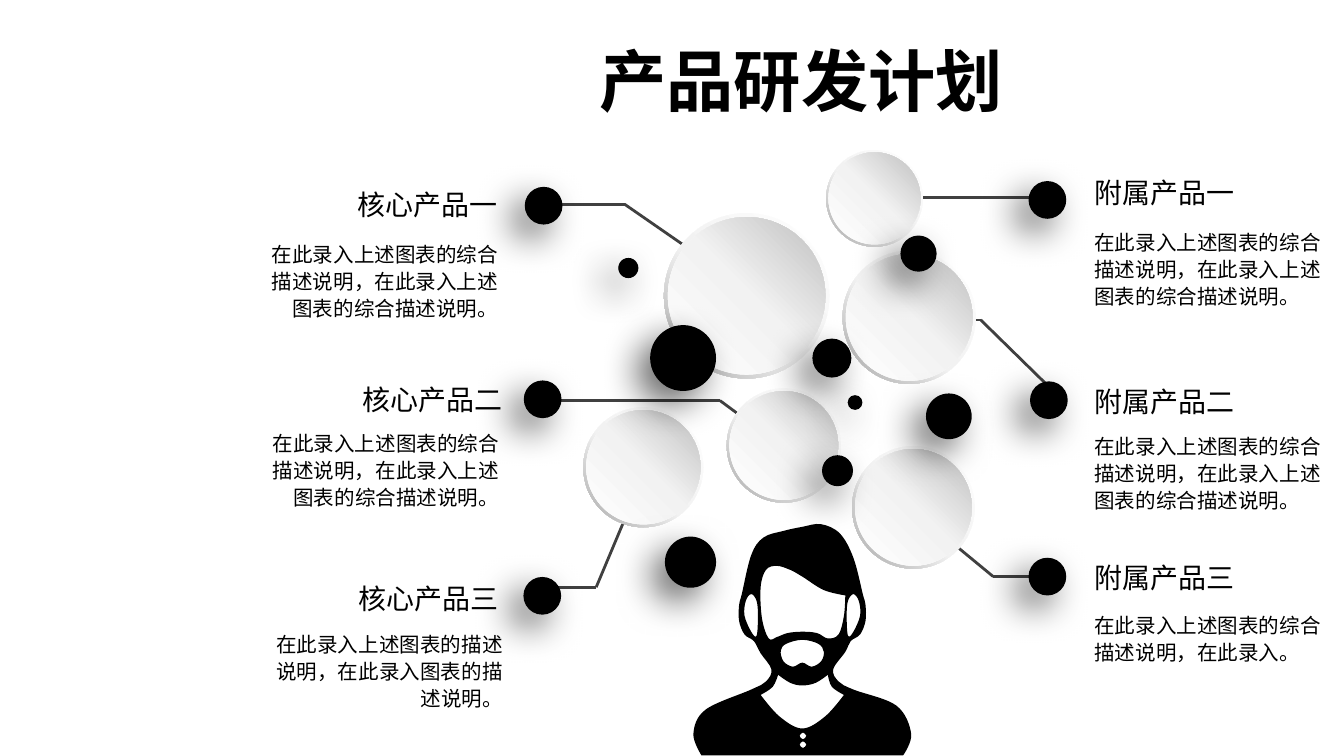
from math import cos, pi, sin

from pptx import Presentation
from pptx.dml.color import RGBColor
from pptx.enum.shapes import MSO_CONNECTOR, MSO_SHAPE
from pptx.enum.text import MSO_ANCHOR, MSO_AUTO_SIZE, PP_ALIGN
from pptx.oxml import parse_xml
from pptx.oxml.ns import nsdecls
from pptx.util import Pt

BLACK, GREY = "000000", "404040"
RIM = [(0, "FFFFFF"), (55, "F2F2F2"), (100, "A6A6A6")]
FACE = [(0, "FFFFFF"), (51, "F2F2F2"), (100, "BFBFBF")]

CONNECTORS = [
    [(474.3, 105.8), (570.2, 105.8)],
    [(563, 308.9), (532.1, 308.9), (474.5, 261.4)],
    [(570.2, 215.3), (525.4, 171.4), (481.7, 171.4)],
    [(288, 109.4), (334.6, 109.4), (365.8, 131)],
    [(282.2, 314.6), (319.4, 314.6), (345.1, 253.4)],
    [(282.2, 214.6), (385.7, 214.6), (419.8, 239.8)],
]
DISCS = [
    (389.3, 208.1, 61.2), (451.4, 134.4, 71.3), (355.7, 114.2, 88.6),
    (442.6, 80.4, 51.8), (456.5, 239, 65.7), (312.5, 218.2, 64.3),
]
DOTS = [
    (348.3, 174.2, 35.3), (331.2, 138.2, 10.8), (496.1, 210.8, 24.5),
    (435.2, 181.4, 20.9), (356.2, 287.5, 27.4), (440.4, 243.9, 16.6),
    (482.4, 126.2, 19.4), (281.1, 100.1, 20.2), (280.6, 203.8, 20.2),
    (280.4, 309.1, 20.2), (551, 97, 20.2), (551.8, 204.3, 20.2),
    (551, 298.8, 20.2), (454.1, 211.7, 7.9),
]
LONG = "在此录入上述图表的综合描述说明，在此录入上述图表的综合描述说明。"
SHORT = "在此录入上述图表的描述说明，在此录入图表的描述说明。"
BRIEF = "在此录入上述图表的综合描述说明，在此录入。"
CORE = [
    ("核心产品一", (133.2, 96.9, 140.4, 25.2), LONG, (130.8, 124.6, 143.3, 51.1)),
    ("核心产品二", (133.2, 201.6, 143.3, 25.2), LONG, (131.3, 226.1, 143.3, 51.1)),
    ("核心产品三", (133.2, 308.2, 141.1, 25.2), SHORT, (133.2, 333.8, 143.3, 51.1)),
]
EXTRA = [
    ("附属产品一", (579.2, 90.7, 126, 25.2), LONG, (579.2, 118.1, 143.3, 51.1)),
    ("附属产品二", (579.2, 202.3, 126, 25.2), LONG, (579.2, 227.5, 143.3, 51.1)),
    ("附属产品三", (579.2, 296.6, 126, 25.2), BRIEF, (579.2, 323.3, 143.3, 36.7)),
]

CORNERS = {(6, 173), (156, 173), (113, 54), (63, 113), (50, 128), (112, 128), (100, 113)}
BODY = [
    (6, 173), (0, 157), (9, 139), (43, 124), (54, 118), (58, 109),
    (50, 97), (45, 88), (38, 83), (34, 73), (34, 61), (36, 53), (43, 24),
    (52, 11), (67, 6), (81, 3), (95, 1), (109, 8), (119, 26), (126, 53),
    (128, 61), (128, 73), (124, 83), (117, 88), (113, 96), (104, 109),
    (108, 118), (119, 124), (151, 136), (162, 157), (156, 173),
]
VISAGE = [
    (81, 40), (72, 35), (62, 32), (54, 35), (50, 48), (51, 71), (56, 86),
    (62, 85), (70, 82), (81, 81), (92, 82), (100, 86), (108, 83), (112, 69),
    (113, 54), (97, 50),
]
LEFT_EAR = [(43, 53), (39, 58), (38, 69), (43, 81), (47, 84), (48, 69), (47, 58)]
RIGHT_EAR = [(162 - x, y) for x, y in LEFT_EAR]
MOUTH = [(81, 87), (69, 90), (65, 95), (67, 103), (74, 107), (81, 104),
         (88, 107), (95, 103), (97, 96), (93, 90)]
COLLAR = [(81, 121), (72, 119), (63, 113), (59, 122), (50, 128), (64, 144),
          (81, 153), (98, 144), (112, 128), (103, 122), (100, 113), (91, 119)]
BUTTONS = [
    [(81.5 + 2.5 * cos(k * pi / 2), y + 2.5 * sin(k * pi / 2)) for k in range(4)]
    for y in (158.5, 165)
]


def rgb(value):
    """Return the colour of a hex string."""
    return RGBColor.from_string(value)


def write(tf, text, size, bold=False, align=PP_ALIGN.LEFT, spacing=None):
    """Fill a text frame with one formatted paragraph."""
    tf.word_wrap = True
    p = tf.paragraphs[0]
    p.alignment = align
    p.line_spacing = spacing
    r = p.add_run()
    r.text = text
    r.font.name, r.font.size, r.font.bold = "Arial", Pt(size), bold
    r.font.color.rgb = rgb(BLACK)


def add_title(s, box, text):
    """Move the title placeholder into the box and fill it."""
    sp = s.shapes.title
    sp.left, sp.top, sp.width, sp.height = map(Pt, box)
    tf = sp.text_frame
    tf.margin_left = tf.margin_right = tf.margin_top = tf.margin_bottom = 0
    tf.vertical_anchor = MSO_ANCHOR.TOP
    write(tf, text, 36, bold=True, align=PP_ALIGN.CENTER)


def add_label(s, box, text, size, **fmt):
    """Place a text box that grows with its text."""
    tf = s.shapes.add_textbox(*map(Pt, box)).text_frame
    write(tf, text, size, **fmt)
    tf.auto_size = MSO_AUTO_SIZE.SHAPE_TO_FIT_TEXT


def add_product(s, heading, heading_box, detail, detail_box, align):
    """Place the heading and description of one product."""
    add_label(s, heading_box, heading, 15, align=align)
    add_label(s, detail_box, detail, 11, align=align, spacing=1.1)


def add_polyline(s, points):
    """Join consecutive points with straight connectors."""
    for start, end in zip(points, points[1:]):
        line = s.shapes.add_connector(MSO_CONNECTOR.STRAIGHT, *map(Pt, start + end))
        line.line.color.rgb = rgb(GREY)
        line.line.width = Pt(1.5)
        line.element.spPr.append(parse_xml(f"<a:effectLst {nsdecls('a')}/>"))


def add_round(s, kind, x, y, d):
    """Add a round shape without outline or shadow."""
    sp = s.shapes.add_shape(kind, Pt(x), Pt(y), Pt(d), Pt(d))
    sp.line.fill.background()
    sp.shadow.inherit = False
    return sp


def set_gradient(sp, stops, angle):
    """Fill a shape with a linear gradient."""
    marks = "".join(
        f'<a:gs pos="{pos * 1000}"><a:srgbClr val="{color}"/></a:gs>' for pos, color in stops
    )
    sp.element.spPr.insert(2, parse_xml(
        f"<a:gradFill {nsdecls('a')} rotWithShape='1'><a:gsLst>{marks}</a:gsLst>"
        f'<a:lin ang="{angle * 60000}" scaled="0"/></a:gradFill>'
    ))


def add_disc(s, x, y, d):
    """Place a shaded disc with a raised rim."""
    rim = add_round(s, MSO_SHAPE.DONUT, x, y, d)
    rim.adjustments[0] = 0.049
    set_gradient(rim, RIM, 135)
    inset = 0.024 * d
    set_gradient(add_round(s, MSO_SHAPE.OVAL, x + inset, y + inset, d - 2 * inset), FACE, 315)


def add_dot(s, x, y, d):
    """Place a black dot with a soft shadow to the lower left."""
    sp = add_round(s, MSO_SHAPE.OVAL, x, y, d)
    sp.fill.solid()
    sp.fill.fore_color.rgb = rgb(BLACK)
    sp.element.spPr.find("{*}effectLst").append(parse_xml(
        f'<a:outerShdw {nsdecls("a")} blurRad="{Pt(20)}" dist="{Pt(10)}" dir="8100000" '
        f'algn="tr" rotWithShape="0"><a:srgbClr val="{BLACK}"><a:alpha val="60000"/>'
        "</a:srgbClr></a:outerShdw>"
    ))


def bezier_points(points):
    """Return two controls and an end, in hundredths, for each side of a closed curve."""
    n = len(points)
    pulls = [
        (0, 0) if p in CORNERS else tuple((b - a) / 6 for a, b in zip(points[i - 1], points[(i + 1) % n]))
        for i, p in enumerate(points)
    ]
    curve = []
    for i, (x, y) in enumerate(points):
        j = (i + 1) % n
        (u, v), (dx, dy), (du, dv) = points[j], pulls[i], pulls[j]
        curve += [(x + dx, y + dy), (u - du, v - dv), (u, v)]
    return [(100 * x, 100 * y) for x, y in curve]


def add_person(s, x, y, w):
    """Draw the bearded figure with its openings, scaled to the width."""
    curves = [bezier_points(c) for c in (BODY, VISAGE, LEFT_EAR, RIGHT_EAR, MOUTH, COLLAR, *BUTTONS)]
    fb = s.shapes.build_freeform(*curves[0][-1], scale=Pt(w) / 16300)
    for curve in curves:
        if curve is not curves[0]:
            fb.move_to(*curve[-1])
        fb.add_line_segments(curve)
    sp = fb.convert_to_shape(Pt(x), Pt(y))
    lines = list(sp.element.spPr.iter("{*}lnTo"))
    for trio in zip(lines[::3], lines[1::3], lines[2::3]):
        bezier = parse_xml(f"<a:cubicBezTo {nsdecls('a')}/>")
        trio[0].addprevious(bezier)
        for line in trio:
            bezier.append(line[0])
            line.getparent().remove(line)
    sp.fill.solid()
    sp.fill.fore_color.rgb = rgb(BLACK)
    sp.line.fill.background()
    sp.shadow.inherit = False


def main():
    """Build the product development slide."""
    prs = Presentation()
    prs.slide_width, prs.slide_height = Pt(720), Pt(405)
    s = prs.slides.add_slide(prs.slide_layouts[5])
    add_title(s, (306.7, 20.9, 244.8, 43.9), "产品研发计划")
    for points in CONNECTORS:
        add_polyline(s, points)
    for products, align in ((CORE, PP_ALIGN.RIGHT), (EXTRA, PP_ALIGN.LEFT)):
        for product in products:
            add_product(s, *product, align)
    add_person(s, 371.5, 280.1, 117.4)
    for disc in DISCS:
        add_disc(s, *disc)
    for dot in DOTS:
        add_dot(s, *dot)
    prs.save("out.pptx")


if __name__ == "__main__":
    main()
